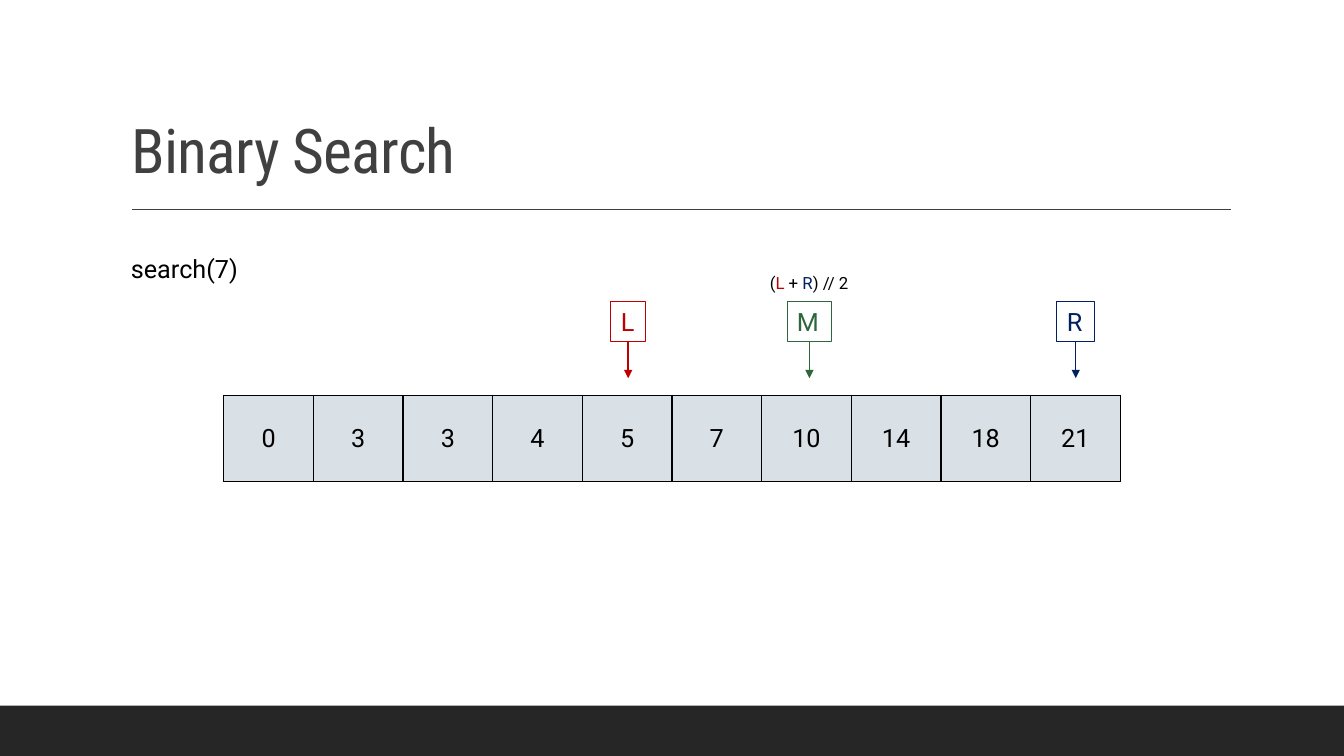
from dataclasses import dataclass

from lxml import etree
from pptx import Presentation
from pptx.dml.color import RGBColor
from pptx.enum.shapes import MSO_CONNECTOR, MSO_SHAPE
from pptx.enum.text import MSO_ANCHOR, MSO_AUTO_SIZE, PP_ALIGN
from pptx.oxml.ns import qn
from pptx.util import Cm, Pt

RECTANGLE = MSO_SHAPE.RECTANGLE
STRAIGHT = MSO_CONNECTOR.STRAIGHT
MIDDLE, BOTTOM = MSO_ANCHOR.MIDDLE, MSO_ANCHOR.BOTTOM
LEFT, CENTER = PP_ALIGN.LEFT, PP_ALIGN.CENTER
FIT_SHAPE, NO_FIT = MSO_AUTO_SIZE.SHAPE_TO_FIT_TEXT, MSO_AUTO_SIZE.NONE
BOTTOM_SITE = 2


@dataclass(frozen=True)
class Theme:
    heading_font: str = "Roboto Condensed"
    body_font: str = "Roboto"
    title_size: float = 44
    body_size: float = 18
    note_size: float = 12
    black: str = "000000"
    grey: str = "404040"
    band: str = "262626"
    cell: str = "D9E0E6"
    red: str = "C00000"
    green: str = "2F663E"
    blue: str = "002060"


@dataclass(frozen=True)
class Pointer:
    label: str
    center: float
    width: float
    color: str


THEME = Theme()
VALUES = [0, 3, 3, 4, 5, 7, 10, 14, 18, 21]
POINTERS = [
    Pointer("L", 15.83, 0.87, THEME.red),
    Pointer("R", 27.11, 0.95, THEME.blue),
    Pointer("M", 20.4, 1.13, THEME.green),
]
MIDPOINT = [
    ("(", THEME.black),
    ("L", THEME.red),
    (" + ", THEME.black),
    ("R", THEME.blue),
    (") // 2", THEME.black),
]
POINTER_TOP, POINTER_HEIGHT, ARROW_END = 7.59, 1.02, 9.53
CELL_WIDTH, CELL_HEIGHT = 2.26, 2.18


def rgb(color: str) -> RGBColor:
    return RGBColor.from_string(color)


def format_run(r, size: float, color: str, font: str = THEME.body_font) -> None:
    r.font.size = Pt(size)
    r.font.name = font
    r.font.color.rgb = rgb(color)


def fit_text(tf) -> None:
    tf.word_wrap = False
    tf.auto_size = FIT_SHAPE


def add_line(slide, x1: float, y1: float, x2: float, y2: float, color: str):
    line = slide.shapes.add_connector(STRAIGHT, Cm(x1), Cm(y1), Cm(x2), Cm(y2))
    line.line.color.rgb = rgb(color)
    line.line.width = Pt(1)
    etree.SubElement(line._element.spPr, qn("a:effectLst"))
    return line


def add_text(slide, x: float, y: float, w: float, h: float,
             parts: list[tuple[str, str]], size: float) -> None:
    tf = slide.shapes.add_textbox(Cm(x), Cm(y), Cm(w), Cm(h)).text_frame
    fit_text(tf)
    for text, color in parts:
        r = tf.paragraphs[0].add_run()
        r.text = text
        format_run(r, size, color)


def add_title(slide, text: str) -> None:
    title = slide.shapes.title
    title.left, title.top = Cm(3.05), Cm(0.79)
    title.width, title.height = Cm(27.94), Cm(4.04)
    tf = title.text_frame
    tf.text = text
    tf.auto_size = NO_FIT
    tf.vertical_anchor = BOTTOM
    p = tf.paragraphs[0]
    p.alignment = LEFT
    p.line_spacing = 0.9
    r = p.runs[0]
    format_run(r, THEME.title_size, THEME.grey, THEME.heading_font)
    r._r.get_or_add_rPr().set("spc", "-50")


def add_pointer(slide, pointer: Pointer) -> None:
    sp = slide.shapes.add_shape(
        RECTANGLE, Cm(pointer.center - pointer.width / 2), Cm(POINTER_TOP),
        Cm(pointer.width), Cm(POINTER_HEIGHT))
    sp.shadow.inherit = False
    sp.fill.background()
    sp.line.color.rgb = rgb(pointer.color)
    sp.line.width = Pt(0.75)
    tf = sp.text_frame
    tf.text = pointer.label
    fit_text(tf)
    p = tf.paragraphs[0]
    p.alignment = LEFT
    format_run(p.runs[0], THEME.body_size, pointer.color)

    arrow = add_line(slide, pointer.center, POINTER_TOP + POINTER_HEIGHT,
                     pointer.center, ARROW_END, pointer.color)
    arrow.begin_connect(sp, BOTTOM_SITE)
    etree.SubElement(arrow.line._get_or_add_ln(), qn("a:tailEnd"), type="triangle")


def add_borders(cell) -> None:
    tcPr = cell._tc.get_or_add_tcPr()
    for side in ("a:lnL", "a:lnR", "a:lnT", "a:lnB"):
        ln = etree.SubElement(tcPr, qn(side), w=str(Pt(1)))
        fill = etree.SubElement(ln, qn("a:solidFill"))
        etree.SubElement(fill, qn("a:srgbClr"), val=THEME.black)


def add_array(slide, values: list[int]) -> None:
    table = slide.shapes.add_table(
        1, len(values), Cm(5.64), Cm(9.96),
        Cm(CELL_WIDTH * len(values)), Cm(CELL_HEIGHT)).table
    table.first_row = False
    table.horz_banding = False
    for column, value in enumerate(values):
        table.columns[column].width = Cm(CELL_WIDTH)
        cell = table.cell(0, column)
        add_borders(cell)
        cell.fill.solid()
        cell.fill.fore_color.rgb = rgb(THEME.cell)
        cell.vertical_anchor = MIDDLE
        cell.text_frame.text = str(value)
        p = cell.text_frame.paragraphs[0]
        p.alignment = CENTER
        format_run(p.runs[0], THEME.body_size, THEME.black)


def main() -> None:
    prs = Presentation()
    prs.slide_width, prs.slide_height = Cm(33.87), Cm(19.05)
    slide = prs.slides.add_slide(prs.slide_layouts.get_by_name("Title Only"))

    # Footer band and title
    band = slide.shapes.add_shape(
        RECTANGLE, 0, Cm(17.78), prs.slide_width, Cm(1.27))
    band.shadow.inherit = False
    band.fill.solid()
    band.fill.fore_color.rgb = rgb(THEME.band)
    band.line.fill.background()
    add_line(slide, 3.33, 5.28, 31.01, 5.28, THEME.grey)
    add_title(slide, "Binary Search")

    # Sorted array and the call
    add_array(slide, VALUES)
    add_text(slide, 3.05, 6.25, 3.3, 1.02,
             [("search(7)", THEME.black)], THEME.body_size)

    # Pointers and midpoint formula
    for pointer in POINTERS:
        add_pointer(slide, pointer)
    add_text(slide, 19.15, 6.76, 2.51, 0.76, MIDPOINT, THEME.note_size)

    prs.save("out.pptx")


if __name__ == "__main__":
    main()
